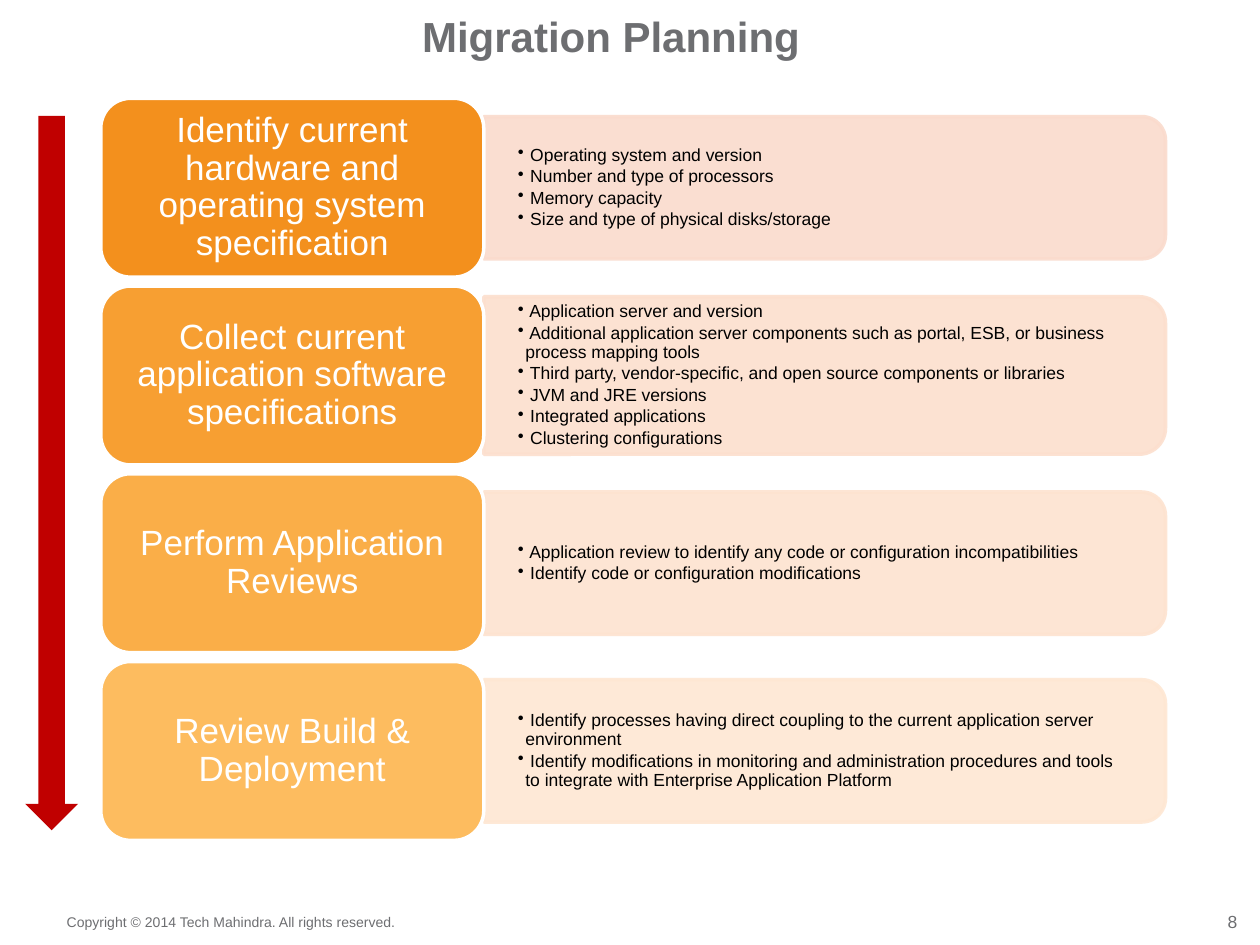
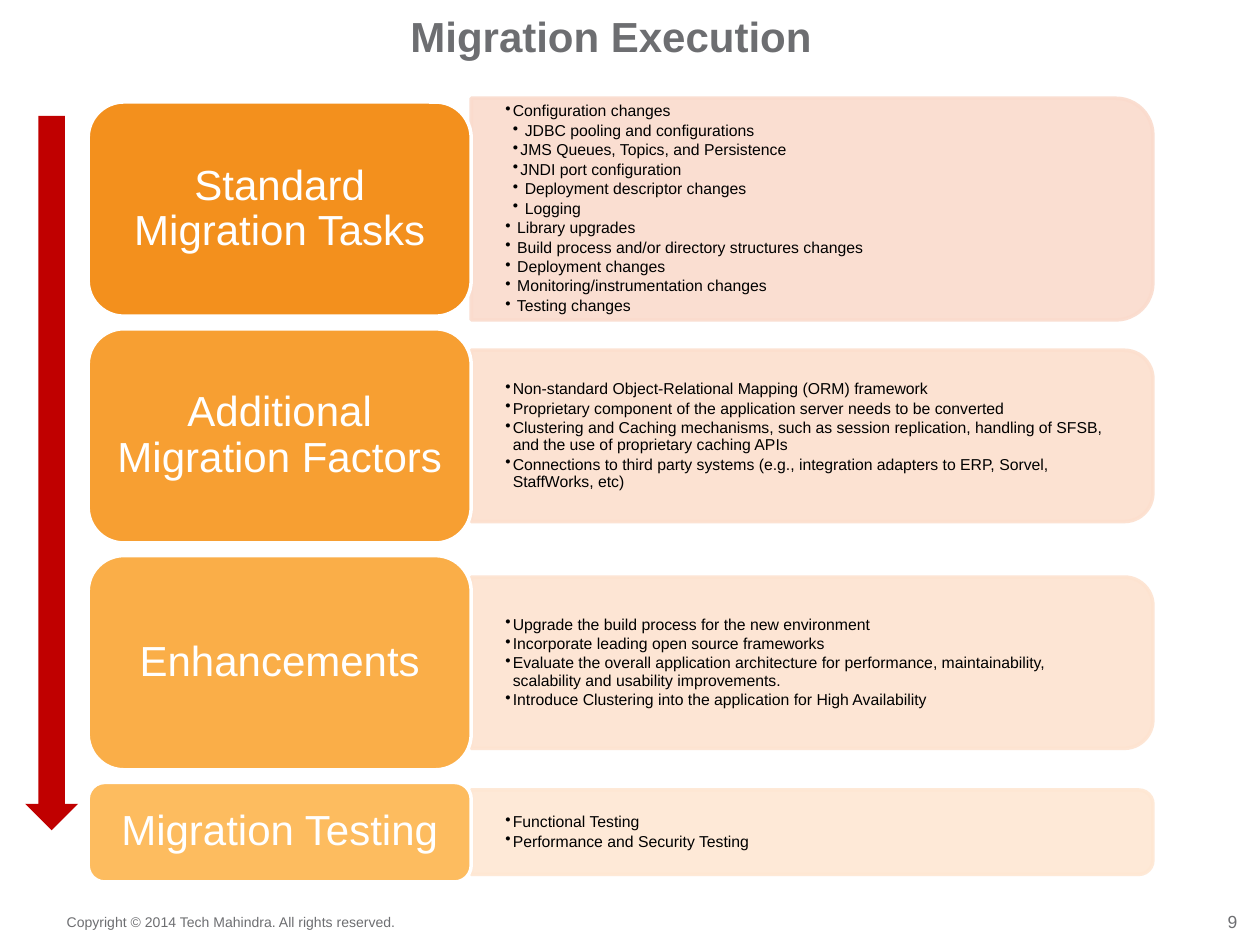
from lxml.etree import SubElement
from pptx import Presentation
from pptx.dml.color import RGBColor
from pptx.enum.shapes import MSO_SHAPE
from pptx.enum.text import MSO_ANCHOR, MSO_AUTO_SIZE, PP_ALIGN
from pptx.oxml.ns import qn
from pptx.util import Inches, Pt

FONT = "Arial"
GREY = "6D6E71"
WHITE = "FFFFFF"
BLACK = "000000"
RED = "C00000"
LABEL_COLOURS = ["F3901D", "F79F32", "FAAE48", "FDBC5F"]
PANEL_COLOURS = ["FADBCD", "FCDFCE", "FDE3D0", "FEE7D3"]
COPYRIGHT = "Copyright © 2014 Tech Mahindra. All rights reserved."
LABEL_WIDTH = 30.4
PANEL_WIDTH = 54.1
BULLET_WIDTH = 53.5

SLIDES = [
    {
        "title": "Migration Planning", "number": "8",
        "left": 8, "top": 7.8, "gap": 0.7,
        "label_size": 20, "label_inset": (0.08, 0.04), "bullet_size": 10,
        "steps": [
            ("Identify current hardware and operating system specification", 14.2, 11.3, [
                (1, " Operating system and version"),
                (1, " Number and type of processors"),
                (1, " Memory capacity"),
                (1, " Size and type of physical disks/storage"),
            ]),
            ("Collect current application software specifications", 14.2, 12.5, [
                (1, " Application server and version"),
                (1, " Additional application server components such as portal, ESB, "
                    "or business process mapping tools"),
                (1, " Third party, vendor-specific, and open source components or libraries"),
                (1, " JVM and JRE versions"),
                (1, " Integrated applications"),
                (1, " Clustering configurations"),
            ]),
            ("Perform Application Reviews", 14.2, 11.3, [
                (1, " Application review to identify any code or configuration incompatibilities"),
                (1, " Identify code or configuration modifications"),
            ]),
            ("Review Build & Deployment", 14.2, 11.3, [
                (1, " Identify processes having direct coupling to the current "
                    "application server environment"),
                (1, " Identify modifications in monitoring and administration procedures "
                    "and tools to integrate with Enterprise Application Platform"),
            ]),
        ],
    },
    {
        "title": "Migration Execution", "number": "9",
        "left": 7, "top": 8.1, "gap": 1,
        "label_size": 24, "label_inset": (0.1, 0.05), "bullet_size": 9,
        "steps": [
            ("Standard Migration Tasks", 17, 17.6, [
                (1, "Configuration changes"),
                (2, " JDBC pooling and configurations"),
                (2, "JMS Queues, Topics, and Persistence"),
                (2, "JNDI port configuration"),
                (2, " Deployment descriptor changes"),
                (2, " Logging"),
                (1, " Library upgrades"),
                (1, " Build process and/or directory structures changes"),
                (1, " Deployment changes"),
                (1, " Monitoring/instrumentation changes"),
                (1, " Testing changes"),
            ]),
            ("Additional Migration Factors", 17, 13.6, [
                (1, "Non-standard Object-Relational Mapping (ORM) framework"),
                (1, "Proprietary component of the application server needs to be converted"),
                (1, "Clustering and Caching mechanisms, such as session replication, "
                    "handling of SFSB, and the use of proprietary caching APIs"),
                (1, "Connections to third party systems (e.g., integration adapters to "
                    "ERP, Sorvel, StaffWorks, etc)"),
            ]),
            ("Enhancements", 17, 13.6, [
                (1, "Upgrade the build process for the new environment"),
                (1, "Incorporate leading open source frameworks"),
                (1, "Evaluate the overall application architecture for performance, "
                    "maintainability, scalability and usability improvements."),
                (1, "Introduce Clustering into the application for High Availability"),
            ]),
            ("Migration Testing", 7.9, 6.7, [
                (1, "Functional Testing"),
                (1, "Performance and Security Testing"),
            ]),
        ],
    },
]

deck = Presentation()
deck.slide_width, deck.slide_height = Inches(10), Inches(7.5)
column = deck.slide_width / 100
row = deck.slide_height / 75


def area(left, top, width, height):
    return [round(left * column), round(top * row), round(width * column), round(height * row)]


def paint(fill, colour, opacity=100):
    fill.solid()
    fill.fore_color.rgb = RGBColor.from_string(colour)
    if opacity < 100:
        for tone in fill._xPr.iter(qn("a:srgbClr")):
            SubElement(tone, qn("a:alpha"), val=str(opacity * 1000))


for content in SLIDES:
    page = deck.slides.add_slide(deck.slide_layouts[5])

    title = page.shapes.title
    title.left, title.top, title.width, title.height = area(3.5, 0.8, 90, 4)
    title.text_frame.text = content["title"]
    footer = page.shapes.add_textbox(*area(5.3, 72.5, 26.6, 1.4))
    footer.text_frame.text = COPYRIGHT
    number = page.shapes.add_textbox(*area(96.5, 72.3, 1.7, 1.7))
    number.text_frame.text = content["number"]
    for box, size, alignment in [
        (title, 24, PP_ALIGN.CENTER),
        (footer, 8, PP_ALIGN.LEFT),
        (number, 10, PP_ALIGN.RIGHT),
    ]:
        frame = box.text_frame
        frame.margin_left = frame.margin_right = frame.margin_top = frame.margin_bottom = 0
        frame.auto_size = MSO_AUTO_SIZE.NONE
        frame.word_wrap = box is title
        frame.vertical_anchor = MSO_ANCHOR.MIDDLE if box is number else MSO_ANCHOR.TOP
        para = frame.paragraphs[0]
        para.alignment = alignment
        para.font.name, para.font.size, para.font.bold = FONT, Pt(size), box is title
        paint(para.font.fill, GREY)

    top = content["top"]
    panel_left = content["left"] + LABEL_WIDTH
    for step, label_colour, panel_colour in zip(content["steps"], LABEL_COLOURS, PANEL_COLOURS):
        name, label_height, panel_height, bullets = step
        middle = top + label_height / 2

        panel = page.shapes.add_shape(
            MSO_SHAPE.ROUND_2_SAME_RECTANGLE,
            *area(panel_left + (PANEL_WIDTH - panel_height) / 2, middle - PANEL_WIDTH / 2,
                  panel_height, PANEL_WIDTH))
        panel.rotation = 90
        panel.shadow.inherit = False
        paint(panel.fill, panel_colour, 90)
        paint(panel.line.fill, panel_colour, 90)
        panel.line.width = Pt(2)

        details = page.shapes.add_textbox(
            *area(panel_left, middle - panel_height / 2, BULLET_WIDTH, panel_height))
        frame = details.text_frame
        frame.word_wrap = True
        frame.vertical_anchor = MSO_ANCHOR.MIDDLE
        frame.margin_left = frame.margin_right = Inches(0.27)
        frame.margin_top = frame.margin_bottom = Inches(0.14)
        for index, (level, text) in enumerate(bullets):
            para = frame.add_paragraph() if index else frame.paragraphs[0]
            para.text = text
            para.level = level
            properties = para._p.get_or_add_pPr()
            properties.set("marL", str(Inches(0.06 * level)))
            properties.set("indent", str(Inches(-0.06)))
            SubElement(properties, qn("a:buChar"), char="•")
            para.line_spacing = 0.9
            para.space_before = Pt(0)
            para.space_after = Pt(0.15 * content["bullet_size"])
            para.font.name, para.font.size = FONT, Pt(content["bullet_size"])
            paint(para.font.fill, BLACK)

        label = page.shapes.add_shape(
            MSO_SHAPE.ROUNDED_RECTANGLE, *area(content["left"], top, LABEL_WIDTH, label_height))
        label.shadow.inherit = False
        paint(label.fill, label_colour)
        paint(label.line.fill, WHITE)
        label.line.width = Pt(2)
        frame = label.text_frame
        frame.word_wrap = True
        frame.vertical_anchor = MSO_ANCHOR.MIDDLE
        side, edge = content["label_inset"]
        frame.margin_left = frame.margin_right = Inches(side)
        frame.margin_top = frame.margin_bottom = Inches(edge)
        para = frame.paragraphs[0]
        para.text = name
        para.alignment = PP_ALIGN.CENTER
        para.line_spacing = 0.9
        para.font.name, para.font.size = FONT, Pt(content["label_size"])
        paint(para.font.fill, WHITE)

        top += label_height + content["gap"]

    arrow = page.shapes.add_shape(MSO_SHAPE.DOWN_ARROW, *area(2, 9.2, 4.2, 56.7))
    arrow.shadow.inherit = False
    paint(arrow.fill, RED)
    arrow.line.fill.background()

deck.save("out.pptx")
